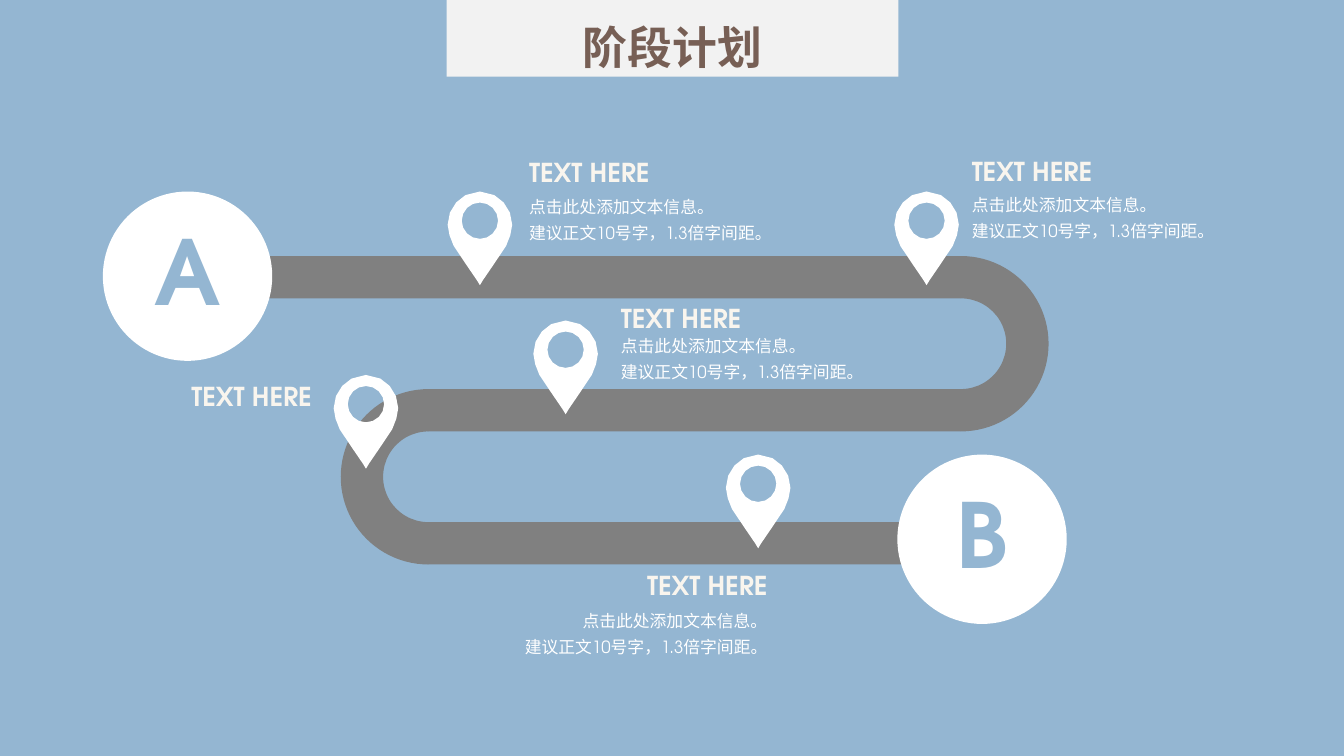
import math

import pptx
import pptx.dml.color
import pptx.enum.shapes
import pptx.enum.text
import pptx.util

Inches = pptx.util.Inches
SHAPE = pptx.enum.shapes.MSO_SHAPE
ALIGN = pptx.enum.text.PP_ALIGN
ANCHOR = pptx.enum.text.MSO_ANCHOR

FONT = "TeX Gyre Adventor"
BLUE, WHITE, CREAM = "94B6D2", "FFFFFF", "F9F5EE"
GREY, PALE, BROWN = "808080", "F2F2F2", "775F55"
HEAD = "TEXT HERE"
BODY = ["点击此处添加文本信息。", "建议正文10号字，1.3倍字间距。"]
LABEL, NOTE = 1.42, 3.08
ROAD, STEP, BAND = 2.54, 1.32, 0.42
CURVES = [
    (4, [(0.03, 0), (0.19, 0.02), (0.32, 0.16), (0.32, 0.33)]),
    (2, [(0.32, 0.33), (0.32, 0.4), (0.29, 0.47), (0.26, 0.54)]),
    (2, [(0.26, 0.54), (0.18, 0.67), (0.1, 0.77), (0.03, 0.88)]),
]
STOPS = [
    (4.44, 1.9, 5.15, 1.5, 1.84, ALIGN.LEFT),
    (8.87, 1.9, 9.54, 1.49, 1.82, ALIGN.LEFT),
    (5.29, 3.18, 6.06, 2.95, 3.22, ALIGN.LEFT),
    (7.2, 4.51, 4.63, 5.6, 5.95, ALIGN.RIGHT),
    (3.31, 3.72, 0.11, 3.73, None, ALIGN.RIGHT),
]


def color(code):
    """Turn a hex string into a colour."""
    return pptx.dml.color.RGBColor.from_string(code)


def paint(shape, code):
    """Give a shape a flat fill without line or shadow."""
    shape.fill.solid()
    shape.fill.fore_color.rgb = color(code)
    shape.line.fill.background()
    shape.shadow.inherit = False


def write(shape, lines, size=12, code=WHITE, bold=False, align=ALIGN.LEFT,
          space=1.0, anchor=ANCHOR.TOP):
    """Write lines into a shape with one format."""
    frame = shape.text_frame
    frame.word_wrap = True
    frame.auto_size = pptx.enum.text.MSO_AUTO_SIZE.NONE
    frame.vertical_anchor = anchor
    frame.text = "\n".join(lines)
    for para in frame.paragraphs:
        para.alignment = align
        para.line_spacing = space
        para.font.name = FONT
        para.font.size = pptx.util.Pt(size)
        para.font.bold = bold
        para.font.color.rgb = color(code)


def block(slide, kind, code, left, top, wide, high):
    """Add a flat preset shape."""
    shape = slide.shapes.add_shape(
        kind, Inches(left), Inches(top), Inches(wide), Inches(high))
    paint(shape, code)
    return shape


def banner(slide, left, top, wide, high):
    """Place the title on its pale panel."""
    title = slide.shapes.title
    title.left, title.top = Inches(left), Inches(top)
    title.width, title.height = Inches(wide), Inches(high)
    paint(title, PALE)
    write(title, ["阶段计划"], size=32, code=BROWN, bold=True,
          align=ALIGN.CENTER, space=1.3, anchor=ANCHOR.MIDDLE)


def road(slide, top, west, east, start, end):
    """Lay three lanes joined by a bend on each side."""
    lanes = [(start, east), (west, east), (west, end)]
    for row, (left, right) in enumerate(lanes):
        block(slide, SHAPE.RECTANGLE, GREY, left, top + row * STEP,
              right - left, BAND)
    side = STEP + BAND
    for row, (mid, turn) in enumerate([(east, 90), (west + 0.01, 270)]):
        bend = block(slide, SHAPE.BLOCK_ARC, GREY, mid - side / 2,
                     top + row * STEP, side, side)
        bend.adjustments[2] = BAND / side
        bend.rotation = turn


def curve(count, ends):
    """Sample a cubic curve after its first point."""
    points = []
    for n in range(1, count + 1):
        t = n / count
        u = 1 - t
        points.append(tuple(
            u**3 * p + 3 * u * u * t * q + 3 * u * t * t * r + t**3 * s
            for p, q, r, s in zip(*ends)))
    return points


def pin(slide, left, top):
    """Draw a map pin with a round hole."""
    half = [point for part in CURVES for point in curve(*part)]
    edge = [(0, 0)] + half + [(0, 0.93)]
    edge += [(-x, y) for x, y in reversed(half)]
    turns = [math.tau * n / 16 for n in range(16)]
    hole = [(0.18 * math.cos(t), 0.29 - 0.18 * math.sin(t)) for t in turns]
    edge, hole = [
        [(Inches(left + 0.32 + x), Inches(top + y)) for x, y in ring]
        for ring in (edge, hole)]
    form = slide.shapes.build_freeform(*edge[0], scale=1.0)
    form.add_line_segments(edge[1:], close=True)
    form.move_to(*hole[0])
    form.add_line_segments(hole[1:], close=True)
    paint(form.convert_to_shape(), WHITE)


def note(slide, left, top, wide, high, lines, **form):
    """Add a formatted text box."""
    box = slide.shapes.add_textbox(
        Inches(left), Inches(top), Inches(wide), Inches(high))
    write(box, lines, **form)


def stop(slide, x, y, left, head, body, align):
    """Place a pin with its heading and text."""
    pin(slide, x, y)
    shift = NOTE - LABEL if align == ALIGN.RIGHT else 0
    note(slide, left + shift, head, LABEL, 0.42, [HEAD], size=18.6,
         code=CREAM, bold=True, align=align)
    if body is not None:
        note(slide, left, body, NOTE, 0.6, BODY, align=align, space=1.3)


def goal(slide, mark, left, top, side=1.68):
    """Draw a lettered circle at an end of the road."""
    disc = block(slide, SHAPE.OVAL, WHITE, left, top, side, side)
    write(disc, [mark], size=64, code=BLUE, bold=True, align=ALIGN.CENTER,
          space=0.9, anchor=ANCHOR.MIDDLE)


def main():
    """Build and save the slide."""
    deck = pptx.Presentation()
    deck.slide_width, deck.slide_height = Inches(13.33), Inches(7.5)
    slide = deck.slides.add_slide(deck.slide_layouts[5])
    slide.background.fill.solid()
    slide.background.fill.fore_color.rgb = color(BLUE)
    banner(slide, 4.43, 0, 4.48, 0.76)
    road(slide, ROAD, west=4.24, east=9.53, start=2.61, end=8.99)
    for place in STOPS:
        stop(slide, *place)
    goal(slide, "A", 1.02, 1.9)
    goal(slide, "B", 8.9, 4.51)
    deck.save("out.pptx")


if __name__ == "__main__":
    main()
